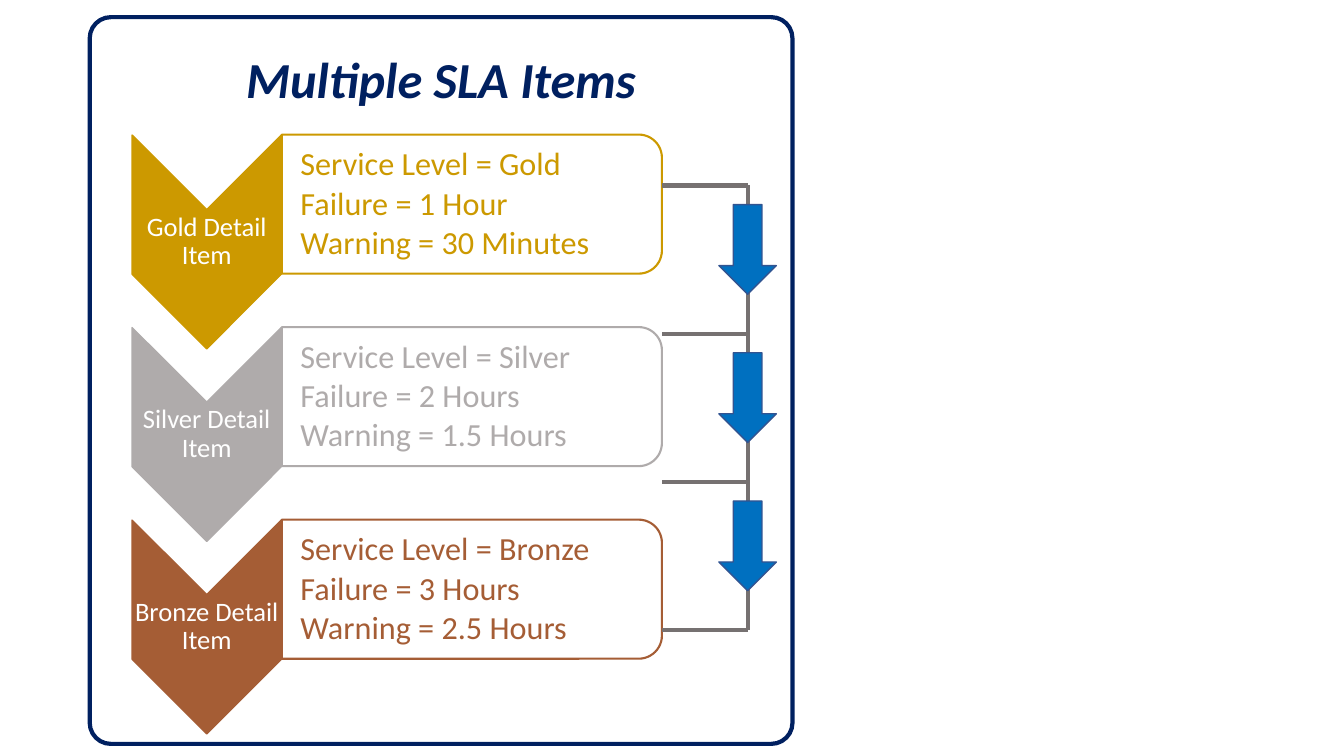
"""Build the slide that compares the gold, silver and bronze SLA detail items."""
from typing import NamedTuple

from lxml.etree import SubElement
from pptx import Presentation
from pptx.dml.color import RGBColor
from pptx.enum.shapes import MSO_CONNECTOR, MSO_SHAPE
from pptx.enum.text import MSO_ANCHOR, PP_ALIGN
from pptx.oxml.ns import qn
from pptx.shapes.autoshape import Shape
from pptx.slide import Slide
from pptx.text.text import TextFrame, _Paragraph
from pptx.util import Inches, Pt

FONT = "Calibri"
WHITE = RGBColor(0xFF, 0xFF, 0xFF)
NAVY = RGBColor(0x00, 0x20, 0x60)
GOLD = RGBColor(0xCC, 0x99, 0x00)
SILVER = RGBColor(0xAF, 0xAB, 0xAB)
BRONZE = RGBColor(0xA5, 0x5D, 0x35)
GRAY = RGBColor(0x76, 0x71, 0x71)
BLUE = RGBColor(0x00, 0x70, 0xC0)
ARROW_EDGE = RGBColor(0x32, 0x54, 0x91)

LEVEL_PITCH = 1.91
RUNG_TOP = 1.84
RUNG_PITCH = 1.47
RUNG_LEFT = 6.57
RAIL_LEFT = 7.42


class Box(NamedTuple):
    """Position and size in inches."""

    left: float
    top: float
    width: float
    height: float

    def lowered(self, distance: float) -> "Box":
        """Return the same box further down the slide."""
        return self._replace(top=self.top + distance)

    def lengths(self) -> list[Inches]:
        """Return the four values as lengths."""
        return [Inches(value) for value in self]


class ServiceLevel(NamedTuple):
    """One service level with its limits and colour."""

    name: str
    failure: str
    warning: str
    color: RGBColor


LEVELS = [
    ServiceLevel("Gold", "1 Hour", "30 Minutes", GOLD),
    ServiceLevel("Silver", "2 Hours", "1.5 Hours", SILVER),
    ServiceLevel("Bronze", "3 Hours", "2.5 Hours", BRONZE),
]
PANEL = Box(0.89, 0.17, 6.97, 7.21)
TITLE = Box(1.04, 0.43, 6.67, 0.71)
CHEVRON = Box(0.99, 1.66, 2.12, 1.48)
CHEVRON_LABEL = Box(1.31, 2.08, 1.48, 0.64)
CARD = Box(3.99, 0.14, 1.38, 3.77)
CARD_TEXT = Box(2.8, 1.41, 3.71, 1.24)
ARROW = Box(6.97, 2.19, 0.89, 0.57)


def add_outlined_shape(slide: Slide, kind: MSO_SHAPE, box: Box, fill: RGBColor,
                       line: RGBColor, weight: float, rotation: float = 90) -> Shape:
    """Add a flat preset shape with a solid fill and outline."""
    shape = slide.shapes.add_shape(kind, *box.lengths())
    shape.rotation = rotation
    shape.shadow.inherit = False
    shape.fill.solid()
    shape.fill.fore_color.rgb = fill
    shape.line.color.rgb = line
    shape.line.width = Pt(weight)
    return shape


def add_text_frame(slide: Slide, box: Box, left_inset: float, inset: float) -> TextFrame:
    """Add a wrapping, vertically centred text box."""
    frame = slide.shapes.add_textbox(*box.lengths()).text_frame
    frame.word_wrap = True
    frame.vertical_anchor = MSO_ANCHOR.MIDDLE
    frame.margin_left = Inches(left_inset)
    frame.margin_top = frame.margin_right = frame.margin_bottom = Inches(inset)
    return frame


def add_run(paragraph: _Paragraph, text: str, size: float, color: RGBColor,
            emphasis: bool = False) -> None:
    """Add one formatted run to a paragraph."""
    run = paragraph.add_run()
    run.text = text
    run.font.name = FONT
    run.font.size = Pt(size)
    run.font.color.rgb = color
    run.font.bold = run.font.italic = emphasis


def add_level(slide: Slide, level: ServiceLevel, drop: float) -> None:
    """Draw the chevron and the card of one service level."""
    add_outlined_shape(slide, MSO_SHAPE.CHEVRON, CHEVRON.lowered(drop),
                       level.color, level.color, 1)
    label = add_text_frame(slide, CHEVRON_LABEL.lowered(drop), 0.01, 0.01).paragraphs[0]
    label.alignment = PP_ALIGN.CENTER
    label.line_spacing = 0.9
    add_run(label, f"{level.name} Detail Item", 19, WHITE)

    card = add_outlined_shape(slide, MSO_SHAPE.ROUND_2_SAME_RECTANGLE,
                              CARD.lowered(drop), WHITE, level.color, 1.5)
    fill_color = card.fill._xPr.find(qn("a:solidFill"))[0]
    SubElement(fill_color, qn("a:alpha")).set("val", "90000")

    frame = add_text_frame(slide, CARD_TEXT.lowered(drop), 0.18, 0.02)
    facts = [("Service Level", level.name), ("Failure", level.failure),
             ("Warning", level.warning)]
    for index, (term, value) in enumerate(facts):
        paragraph = frame.add_paragraph() if index else frame.paragraphs[0]
        paragraph.level = 1
        properties = paragraph._p.get_or_add_pPr()
        properties.set("marL", str(Inches(0.25)))
        properties.set("indent", str(Inches(-0.25)))
        paragraph.line_spacing = 0.9
        paragraph.space_after = Pt(3.1)
        add_run(paragraph, f"{term} = {value}", 23, level.color)


def add_line(slide: Slide, start: tuple[float, float], end: tuple[float, float]) -> None:
    """Draw a flat grey line between two points in inches."""
    points = [Inches(value) for value in (*start, *end)]
    connector = slide.shapes.add_connector(MSO_CONNECTOR.STRAIGHT, *points)
    connector.line.color.rgb = GRAY
    connector.line.width = Pt(3)
    SubElement(connector._element.spPr, qn("a:effectLst"))


def add_ladder(slide: Slide) -> None:
    """Draw the rungs, the rail and the arrows beside the cards."""
    rungs = [RUNG_TOP + index * RUNG_PITCH for index in range(len(LEVELS) + 1)]
    for top in rungs:
        add_line(slide, (RUNG_LEFT, top), (RAIL_LEFT, top))
    for top, bottom in zip(rungs, rungs[1:]):
        add_line(slide, (RAIL_LEFT, top), (RAIL_LEFT, bottom))
    for index in range(len(LEVELS)):
        add_outlined_shape(slide, MSO_SHAPE.RIGHT_ARROW,
                           ARROW.lowered(index * RUNG_PITCH), BLUE, ARROW_EDGE, 1)


def format_title(slide: Slide) -> None:
    """Place the title in front of the panel and write its text."""
    title = slide.shapes.title
    title.left, title.top, title.width, title.height = TITLE.lengths()
    slide.shapes._spTree.append(title._element)
    title.text_frame.vertical_anchor = MSO_ANCHOR.TOP
    paragraph = title.text_frame.paragraphs[0]
    paragraph.alignment = PP_ALIGN.CENTER
    paragraph.line_spacing = 1.0
    add_run(paragraph, "Multiple SLA Items", 36, NAVY, emphasis=True)


def main() -> None:
    """Build and save the presentation."""
    presentation = Presentation()
    presentation.slide_width = Inches(13.33)
    presentation.slide_height = Inches(7.5)
    slide = presentation.slides.add_slide(presentation.slide_layouts.get_by_name("Title Only"))
    panel = add_outlined_shape(slide, MSO_SHAPE.ROUNDED_RECTANGLE, PANEL, WHITE, NAVY, 3, 0)
    panel.adjustments[0] = 0.03
    for index, level in enumerate(LEVELS):
        add_level(slide, level, index * LEVEL_PITCH)
    add_ladder(slide)
    format_title(slide)
    presentation.save("out.pptx")


if __name__ == "__main__":
    main()
